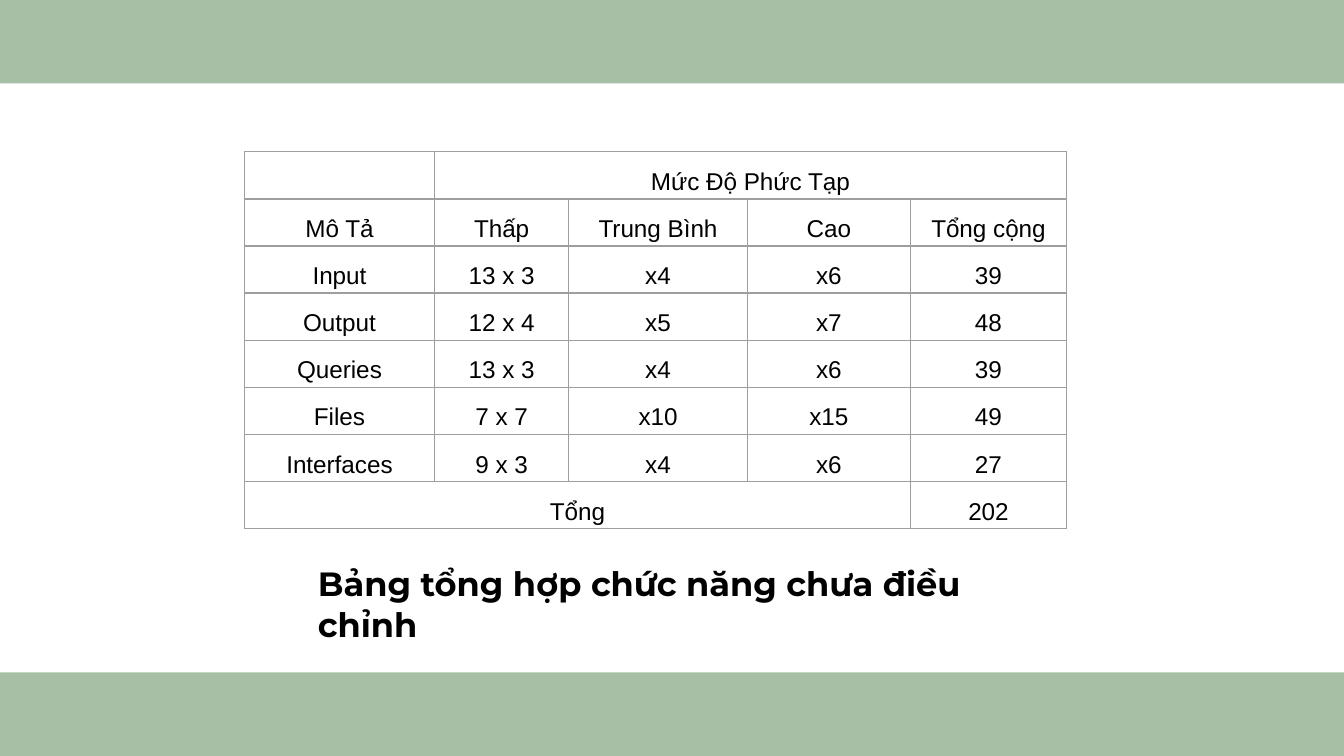
"""Build a slide with a table of function points between two green bands."""
import pptx
import pptx.dml.color
import pptx.enum.shapes
import pptx.enum.text
import pptx.oxml
import pptx.oxml.ns
import pptx.util

Cm = pptx.util.Cm
Pt = pptx.util.Pt
WIDE, HIGH = 25.4, 14.29
BAND = 1.58
COLS = [3.59, 2.54, 3.37, 3.09, 2.94]
ROW = 0.89
ROWS = [
    ["", "Mức Độ Phức Tạp", "", "", ""],
    ["Mô Tả", "Thấp", "Trung Bình", "Cao", "Tổng cộng"],
    ["Input", "13 x 3", "x4", "x6", "39"],
    ["Output", "12 x 4", "x5", "x7", "48"],
    ["Queries", "13 x 3", "x4", "x6", "39"],
    ["Files", "7 x 7", "x10", "x15", "49"],
    ["Interfaces", "9 x 3", "x4", "x6", "27"],
    ["Tổng", "", "", "", "202"],
]
SPANS = [((0, 1), (0, 4)), ((7, 0), (7, 3))]


def tint(code):
    return pptx.dml.color.RGBColor.from_string(code)


class Page:
    green, grey, ink = "A6BFA5", "9E9E9E", "000000"

    def __init__(self, slide):
        self.slide = slide

    def band(self, top):
        kind = pptx.enum.shapes.MSO_SHAPE.RECTANGLE
        bar = self.slide.shapes.add_shape(kind, 0, Cm(top), Cm(WIDE), Cm(BAND))
        bar.shadow.inherit = False
        bar.fill.solid()
        bar.fill.fore_color.rgb = tint(self.green)
        bar.line.fill.background()

    def words(self, para, text, face, size, bold=False):
        run = para.add_run()
        run.text = text
        run.font.name, run.font.size, run.font.bold = face, Pt(size), bold
        run.font.color.rgb = tint(self.ink)

    def edge(self, cell):
        props = cell._tc.get_or_add_tcPr()
        space = pptx.oxml.ns.nsdecls("a")
        for side in "LRTB":
            props.append(pptx.oxml.parse_xml(
                f'<a:ln{side} {space} w="{Pt(0.75)}"><a:solidFill>'
                f'<a:srgbClr val="{self.grey}"/></a:solidFill></a:ln{side}>'))

    def fill(self, cell, text):
        self.edge(cell)
        cell.fill.background()
        cell.margin_left = cell.margin_right = Cm(0.19)
        cell.margin_top = cell.margin_bottom = 0
        cell.vertical_anchor = pptx.enum.text.MSO_ANCHOR.MIDDLE
        if text:
            para = cell.text_frame.paragraphs[0]
            para.alignment = pptx.enum.text.PP_ALIGN.CENTER
            para.line_spacing, para.space_before = 1.5, Pt(6)
            self.words(para, text, "Arial", 13)

    def grid(self, left, top, rows, cols, spans):
        frame = self.slide.shapes.add_table(
            len(rows), len(cols), Cm(left), Cm(top), Cm(sum(cols)), Cm(ROW * len(rows)))
        table = frame.table
        table.first_row = table.horz_banding = False
        for col, width in zip(table.columns, cols):
            col.width = Cm(width)
        for row, texts in zip(table.rows, rows):
            row.height = Cm(ROW)
            for cell, text in zip(row.cells, texts):
                self.fill(cell, text)
        for start, end in spans:
            table.cell(*start).merge(table.cell(*end))

    def label(self, left, top, width, height, text):
        box = self.slide.shapes.add_textbox(Cm(left), Cm(top), Cm(width), Cm(height))
        box.text_frame.word_wrap = True
        self.words(box.text_frame.paragraphs[0], text, "Montserrat", 18, True)


def main():
    deck = pptx.Presentation()
    deck.slide_width, deck.slide_height = Cm(WIDE), Cm(HIGH)
    page = Page(deck.slides.add_slide(deck.slide_layouts[6]))
    for top in (0, HIGH - BAND):
        page.band(top)
    page.grid(4.62, 2.87, ROWS, COLS, SPANS)
    page.label(5.76, 10.52, 13.7, 1.02, "Bảng tổng hợp chức năng chưa điều chỉnh")
    deck.save("out.pptx")


if __name__ == "__main__":
    main()
